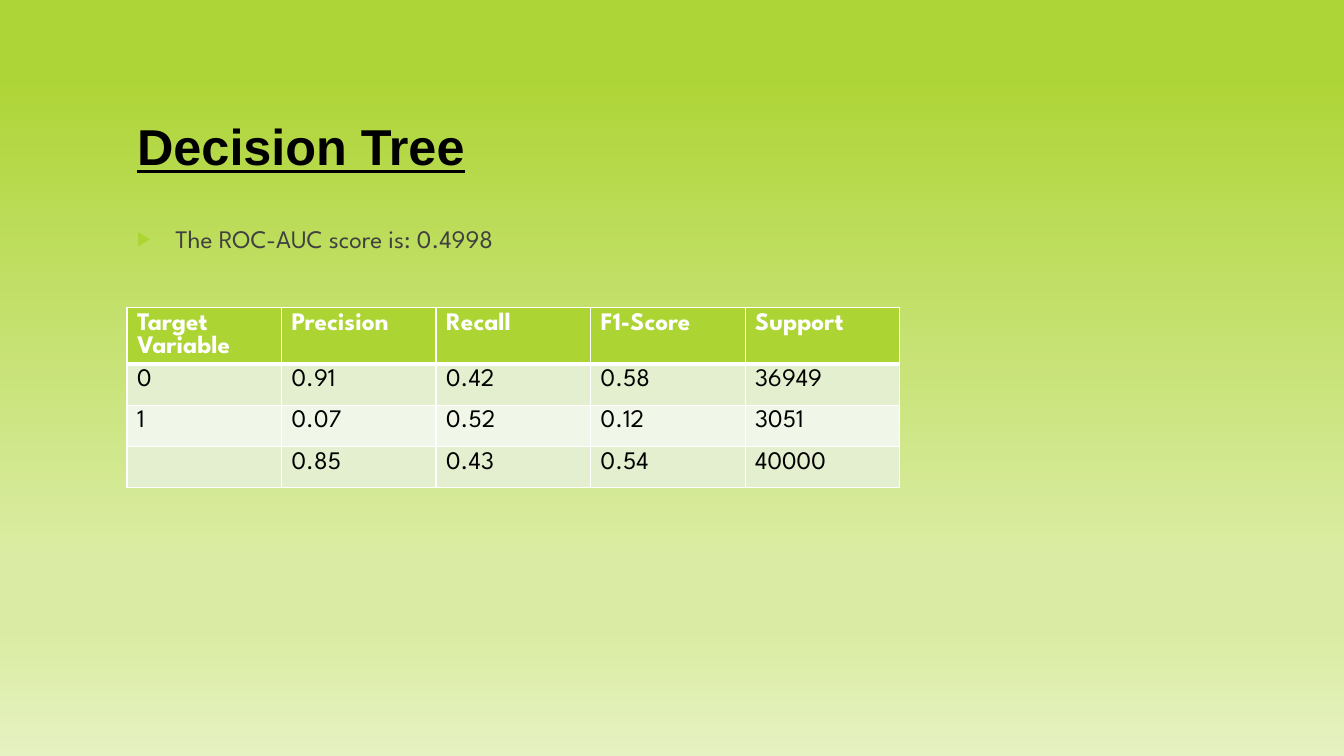
from dataclasses import dataclass

from lxml.etree import SubElement
from pptx import Presentation
from pptx.dml.color import RGBColor
from pptx.enum.text import MSO_ANCHOR, MSO_AUTO_SIZE, PP_ALIGN
from pptx.oxml.ns import qn
from pptx.util import Inches, Pt

BLACK = RGBColor(0x00, 0x00, 0x00)
WHITE = RGBColor(0xFF, 0xFF, 0xFF)
GREY = RGBColor(0x40, 0x40, 0x40)
GREEN = RGBColor(0xAC, 0xD4, 0x33)
BAND_DARK = RGBColor(0xE3, 0xEF, 0xCE)
BAND_LIGHT = RGBColor(0xF1, 0xF7, 0xE8)
GRADIENT = (
    (10, RGBColor(0xAE, 0xD5, 0x37)),
    (74, RGBColor(0xDA, 0xEC, 0xA3)),
    (83, RGBColor(0xDA, 0xEC, 0xA3)),
    (100, RGBColor(0xE6, 0xF2, 0xC2)),
)
SLIDE_WIDTH, SLIDE_HEIGHT = Inches(13.333), Inches(7.5)
COLUMN, ROW = SLIDE_WIDTH / 100, SLIDE_HEIGHT / 100
SCORES = (
    ("Target Variable", "Precision", "Recall", "F1-Score", "Support"),
    ("0", "0.91", "0.42", "0.58", "36949"),
    ("1", "0.07", "0.52", "0.12", "3051"),
    ("", "0.85", "0.43", "0.54", "40000"),
)


@dataclass(frozen=True)
class Area:
    """A rectangle in columns and rows of a 100 by 100 grid."""

    left: float
    top: float
    width: float
    height: float

    def lengths(self) -> tuple[int, int, int, int]:
        """Return left, top, width and height as slide lengths."""
        return (int(self.left * COLUMN), int(self.top * ROW),
                int(self.width * COLUMN), int(self.height * ROW))


@dataclass(frozen=True)
class TextStyle:
    """The look of a run of text."""

    size: float
    color: RGBColor
    name: str = "League Spartan"
    bold: bool = False
    underline: bool = False


TITLE_AREA = Area(9.45, 14.13, 71.85, 10.27)
BODY_AREA = Area(9.45, 28.93, 71.85, 8.8)
TABLE_AREA = Area(9.45, 40.67, 57.5, 21.8)
TITLE_STYLE = TextStyle(36, BLACK, "Arial", bold=True, underline=True)
BODY_STYLE = TextStyle(18, GREY)
HEADER_STYLE = TextStyle(18, WHITE, bold=True)
CELL_STYLE = TextStyle(18, BLACK)


def style_text(text_frame, style: TextStyle) -> None:
    """Format every run of a text frame."""
    for paragraph in text_frame.paragraphs:
        for run in paragraph.runs:
            font = run.font
            font.size, font.name = Pt(style.size), style.name
            font.bold, font.underline = style.bold, style.underline
            font.color.rgb = style.color


def paint_background(slide) -> None:
    """Fill the slide with the vertical green gradient."""
    fill = slide.background.fill
    fill.gradient()
    fill.gradient_angle = 270
    stops = slide.element.find(".//" + qn("a:gsLst"))
    for stop in list(stops):
        stops.remove(stop)
    for position, color in GRADIENT:
        stop = SubElement(stops, qn("a:gs"), pos=str(position * 1000))
        SubElement(stop, qn("a:srgbClr"), val=str(color))


def fill_placeholder(shape, area: Area, text: str, style: TextStyle, anchor: MSO_ANCHOR):
    """Place a placeholder, set its text and return its paragraph."""
    shape.left, shape.top, shape.width, shape.height = area.lengths()
    text_frame = shape.text_frame
    text_frame.text = text
    text_frame.word_wrap = True
    text_frame.auto_size = MSO_AUTO_SIZE.NONE
    text_frame.vertical_anchor = anchor
    style_text(text_frame, style)
    paragraph = text_frame.paragraphs[0]
    paragraph.alignment = PP_ALIGN.LEFT
    return paragraph


def add_bullet(paragraph) -> None:
    """Give a paragraph a small green triangle as its bullet."""
    paragraph.space_before = Pt(10)
    properties = paragraph._p.get_or_add_pPr()
    properties.set("marL", str(Inches(0.38)))
    properties.set("indent", str(-Inches(0.38)))
    color = SubElement(properties, qn("a:buClr"))
    SubElement(color, qn("a:srgbClr"), val=str(GREEN))
    SubElement(properties, qn("a:buSzPct"), val="80000")
    SubElement(properties, qn("a:buChar"), char="▶")


def add_borders(cell, top: float, bottom: float) -> None:
    """Draw white borders around a cell."""
    properties = cell._tc.get_or_add_tcPr()
    for side, width in (("L", 1), ("R", 1), ("T", top), ("B", bottom)):
        line = SubElement(properties, qn(f"a:ln{side}"), w=str(Pt(width)))
        fill = SubElement(line, qn("a:solidFill"))
        SubElement(fill, qn("a:srgbClr"), val=str(WHITE))


def add_score_table(slide) -> None:
    """Add the table of scores with its header and banded rows."""
    table = slide.shapes.add_table(
        len(SCORES), len(SCORES[0]), *TABLE_AREA.lengths()).table
    for row_index, values in enumerate(SCORES):
        is_header = row_index == 0
        band = BAND_DARK if row_index % 2 else BAND_LIGHT
        for column_index, value in enumerate(values):
            cell = table.cell(row_index, column_index)
            cell.text_frame.text = value
            style_text(cell.text_frame, HEADER_STYLE if is_header else CELL_STYLE)
            add_borders(cell, top=3 if row_index == 1 else 1, bottom=3 if is_header else 1)
            cell.fill.solid()
            cell.fill.fore_color.rgb = GREEN if is_header else band


def main() -> None:
    """Build the decision tree slide and save it."""
    presentation = Presentation()
    presentation.slide_width, presentation.slide_height = SLIDE_WIDTH, SLIDE_HEIGHT
    slide = presentation.slides.add_slide(presentation.slide_layouts[1])
    paint_background(slide)
    fill_placeholder(slide.shapes.title, TITLE_AREA, "Decision Tree",
                     TITLE_STYLE, MSO_ANCHOR.MIDDLE)
    score = fill_placeholder(slide.placeholders[1], BODY_AREA,
                             "The ROC-AUC score is: 0.4998", BODY_STYLE, MSO_ANCHOR.TOP)
    add_bullet(score)
    add_score_table(slide)
    presentation.save("out.pptx")


if __name__ == "__main__":
    main()
